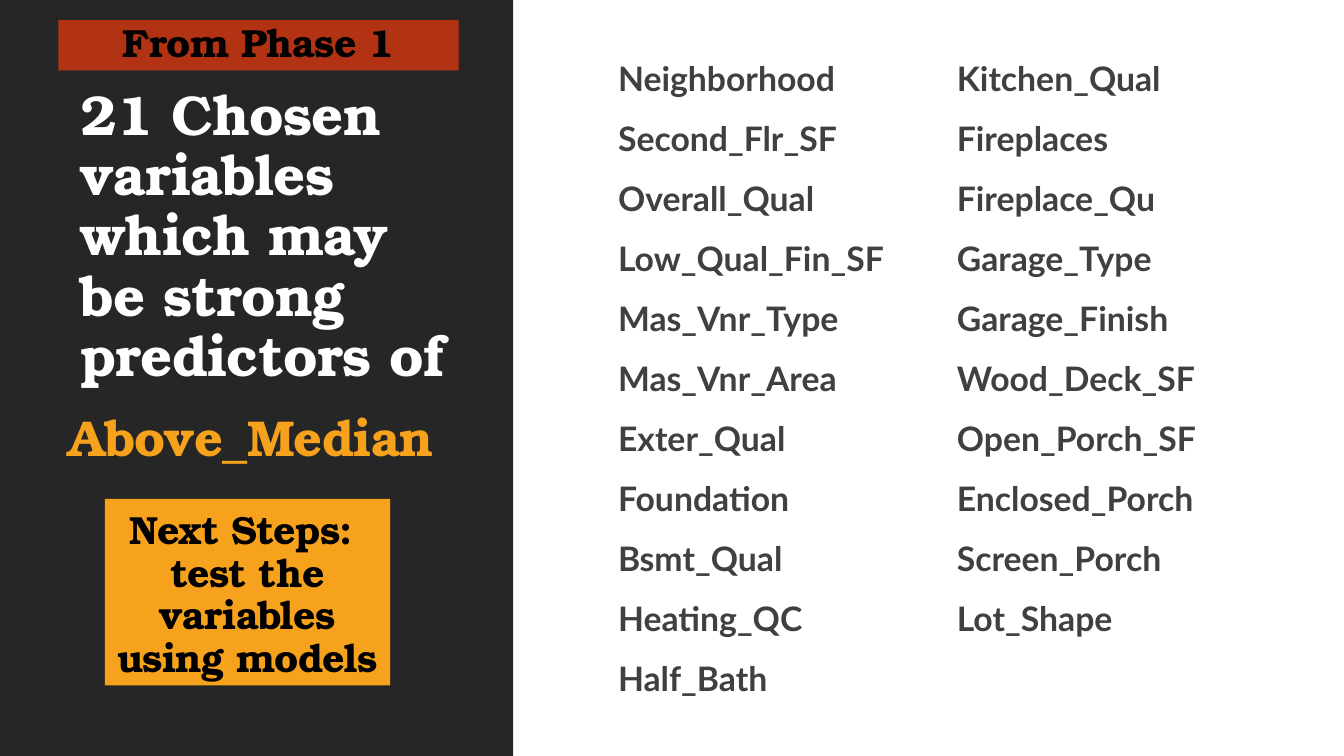
from dataclasses import dataclass

from pptx import Presentation
from pptx.dml.color import RGBColor
from pptx.enum.shapes import MSO_SHAPE as Shape
from pptx.enum.text import MSO_ANCHOR as Anchor, MSO_AUTO_SIZE as AutoSize, PP_ALIGN as Align
from pptx.util import Emu, Inches, Pt

WIDTH, HEIGHT = Inches(13.33), Inches(7.5)


@dataclass(frozen=True)
class Theme:
    display: str = "TeX Gyre Bonum"
    body: str = "Lato"
    panel: str = "262626"
    red: str = "B23214"
    amber: str = "F6A21D"
    white: str = "FFFFFF"
    black: str = "000000"
    grey: str = "404040"
    title_size: float = 40
    target_size: float = 36
    label_size: float = 28
    list_size: float = 24.1


THEME = Theme()

VARIABLES = [
    "Neighborhood", "Second_Flr_SF", "Overall_Qual", "Low_Qual_Fin_SF",
    "Mas_Vnr_Type", "Mas_Vnr_Area", "Exter_Qual", "Foundation", "Bsmt_Qual",
    "Heating_QC", "Half_Bath", "Kitchen_Qual", "Fireplaces", "Fireplace_Qu",
    "Garage_Type", "Garage_Finish", "Wood_Deck_SF", "Open_Porch_SF",
    "Enclosed_Porch", "Screen_Porch", "Lot_Shape",
]


def area(left, top, width, height):
    """Turn inches into a left, top, width, height tuple."""
    return tuple(Inches(value) for value in (left, top, width, height))


def write(shape, lines, *, size, color, font=THEME.display, align=Align.LEFT,
          anchor=Anchor.BOTTOM, line_spacing=0.9, before=0, after=0, tracking=-50):
    """Fill a shape with bold paragraphs in one format."""
    frame = shape.text_frame
    frame.word_wrap = True
    frame.auto_size = AutoSize.NONE
    frame.vertical_anchor = anchor
    frame.text = "\n".join(lines)
    for paragraph in frame.paragraphs:
        paragraph.alignment = align
        paragraph.line_spacing = line_spacing
        paragraph.space_before, paragraph.space_after = Pt(before), Pt(after)
        for run in paragraph.runs:
            run.font.name, run.font.size, run.font.bold = font, Pt(size), True
            run.font.color.rgb = RGBColor.from_string(color)
            run.font._element.set("spc", str(tracking))
    return frame


def add_block(slide, place, fill):
    block = slide.shapes.add_shape(Shape.RECTANGLE, *place)
    block.shadow.inherit = False
    block.fill.solid()
    block.fill.fore_color.rgb = RGBColor.from_string(fill)
    block.line.fill.background()
    return block


def add_label(slide, place, fill, lines):
    write(add_block(slide, place, fill), lines, size=THEME.label_size,
          color=THEME.black, align=Align.CENTER)


def add_column_list(slide, place, items, columns):
    box = slide.shapes.add_textbox(*place)
    frame = write(box, items, size=THEME.list_size, color=THEME.grey, font=THEME.body,
                  align=Align.JUSTIFY, anchor=Anchor.TOP, line_spacing=1.0,
                  before=12, after=2, tracking=0)
    frame.margin_left = frame.margin_right = Emu(0)
    frame._txBody.bodyPr.set("numCol", str(columns))
    for paragraph in frame.paragraphs:
        paragraph._p.get_or_add_pPr().set("marL", str(Inches(0.1)))


def main():
    presentation = Presentation()
    presentation.slide_width, presentation.slide_height = WIDTH, HEIGHT
    slide = presentation.slides.add_slide(presentation.slide_layouts[5])

    # Dark side panel, behind the title
    title = slide.shapes.title
    panel = add_block(slide, (0, 0, Inches(5.09), HEIGHT), THEME.panel)
    title._element.addprevious(panel._element)

    # Title and target variable
    title.left, title.top, title.width, title.height = area(0.7, 0.86, 3.85, 3.05)
    write(title, ["21 Chosen variables which may be strong predictors of"],
          size=THEME.title_size, color=THEME.white)
    target = slide.shapes.add_textbox(*area(0.58, 3.75, 3.97, 0.94))
    write(target, ["Above_Median"], size=THEME.target_size, color=THEME.amber)

    # Coloured labels
    add_label(slide, area(1.04, 4.95, 2.83, 1.85), THEME.amber,
              ["Next Steps: ", "test the variables using models"])
    add_label(slide, area(0.58, 0.2, 3.97, 0.5), THEME.red, ["From Phase 1"])

    # Chosen variables
    add_column_list(slide, area(6.03, 0.52, 6.72, 6.5), VARIABLES, columns=2)

    presentation.save("out.pptx")


if __name__ == "__main__":
    main()
